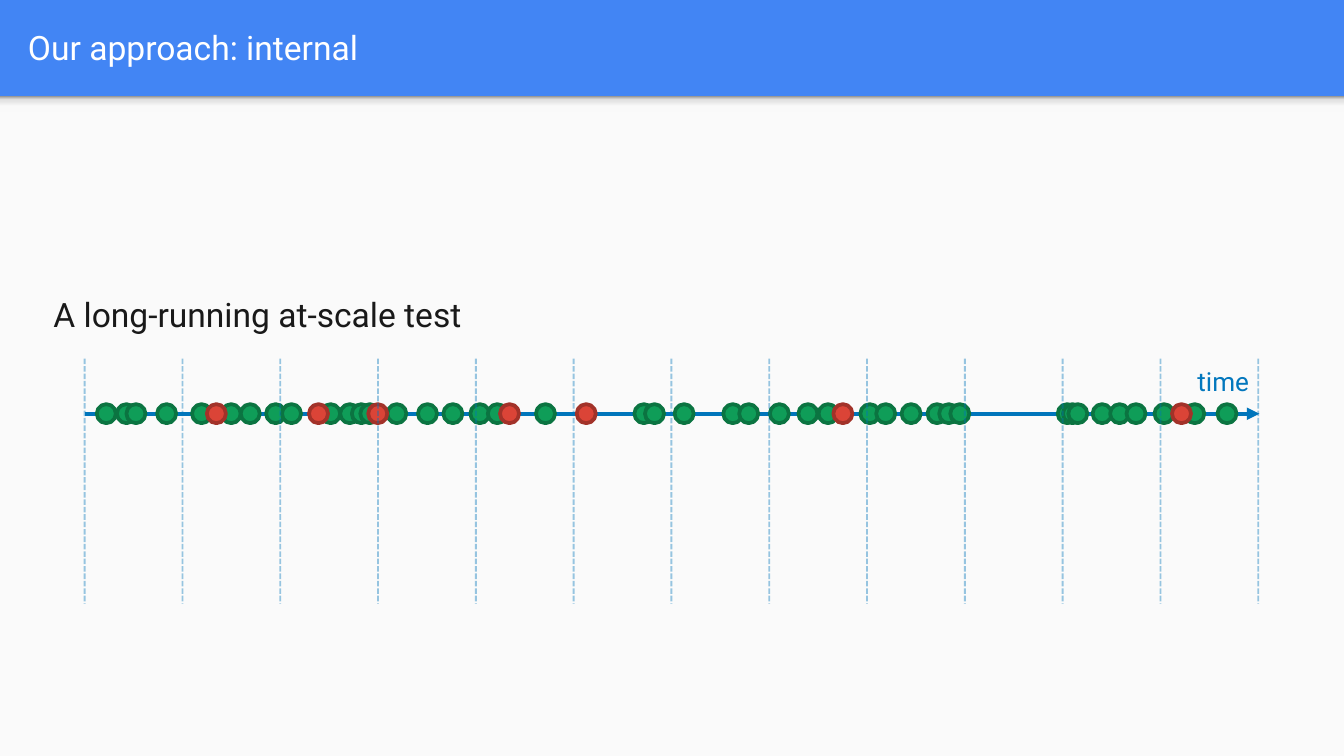
"""Build the slide with the timeline of a long-running at-scale test."""
from copy import deepcopy

from lxml.etree import SubElement
from pptx import Presentation
from pptx.dml.color import RGBColor
from pptx.enum.dml import MSO_LINE
from pptx.enum.shapes import MSO_CONNECTOR, MSO_SHAPE
from pptx.enum.text import MSO_ANCHOR, MSO_AUTO_SIZE
from pptx.oxml.ns import qn
from pptx.util import Cm, Pt


def paint(color_format, color):
    color_format.rgb = RGBColor.from_string(color)


def add_line(left, top, right, bottom, width):
    line = slide.shapes.add_connector(
        MSO_CONNECTOR.STRAIGHT, Cm(left), Cm(top), Cm(right), Cm(bottom))
    line.line.width = Pt(width)
    paint(line.line.color, "0075BB")
    SubElement(line._element.spPr, qn("a:effectLst"))
    return line


deck = Presentation()
deck.slide_width, deck.slide_height = Cm(25.4), Cm(14.29)
slide = deck.slides.add_slide(deck.slide_layouts[6])
slide.background.fill.solid()
paint(slide.background.fill.fore_color, "4285F4")

body = slide.shapes.add_shape(MSO_SHAPE.RECTANGLE, 0, Cm(1.82), Cm(25.4), Cm(12.47))
body.fill.solid()
paint(body.fill.fore_color, "FAFAFA")
shade = slide.shapes.add_shape(MSO_SHAPE.RECTANGLE, 0, Cm(1.82), Cm(25.4), Cm(0.3))
shade.fill.gradient()
shade.fill.gradient_angle = 90
stop_list = shade._element.spPr.find(".//" + qn("a:gsLst"))
for extra in range(2):
    stop_list.append(deepcopy(stop_list[-1]))
shade_stops = [(0, "F9F9F9"), (0.36, "F9F9F9"), (0.8, "DEDEDE"), (1, "999999")]
for stop, (position, color) in zip(shade.fill.gradient_stops, shade_stops):
    stop.position = position
    paint(stop.color, color)
for panel in (body, shade):
    panel.line.fill.background()
    panel.shadow.inherit = False

axis_left, axis_right, axis_y = 1.6, 23.8, 7.82
axis = add_line(axis_left, axis_y, axis_right, axis_y, 2.25)
SubElement(axis.line._get_or_add_ln(), qn("a:tailEnd"), type="triangle")

passed = [
    1.83, 2.21, 2.39, 2.97, 3.63, 4.19, 4.55, 5.03, 5.33, 6.07, 6.43,
    6.65, 6.81, 7.32, 7.9, 8.38, 8.89, 9.22, 10.13, 11.99, 12.19,
    12.75, 13.67, 13.97, 14.55, 15.09, 15.47, 16.26, 16.56, 17.04, 17.53,
    17.75, 17.96, 19.99, 20.09, 20.19, 20.65, 20.98, 21.29, 21.82, 22.4, 23.01,
]
failed = [3.91, 5.84, 6.96, 9.45, 10.9, 15.75, 22.15]
dot_size = 0.36
for lefts, fill, outline in [(passed, "0F9D58", "0B7441"), (failed, "DB4437", "A23229")]:
    for left in lefts:
        dot = slide.shapes.add_shape(
            MSO_SHAPE.OVAL, Cm(left), Cm(axis_y - dot_size / 2), Cm(dot_size), Cm(dot_size))
        dot.shadow.inherit = False
        dot.fill.solid()
        paint(dot.fill.fore_color, fill)
        paint(dot.line.color, outline)
        dot.line.width = Pt(2)

texts = [
    ("Our approach: internal", 0.28, 0.05, 24.51, 1.68, 18, "FFFFFF"),
    ("time", 22.38, 6.78, 1.5, 0.86, 14, "0277BD"),
    ("A long-running at-scale test", 0.76, 5.44, 8.31, 1.02, 18, "191919"),
]
for text, left, top, width, height, size, color in texts:
    box = slide.shapes.add_textbox(Cm(left), Cm(top), Cm(width), Cm(height))
    frame = box.text_frame
    frame.text = text
    is_title = top < 1
    frame.word_wrap = is_title
    if is_title:
        frame.vertical_anchor = MSO_ANCHOR.MIDDLE
        frame.margin_top = frame.margin_bottom = Cm(0.25)
    else:
        frame.auto_size = MSO_AUTO_SIZE.SHAPE_TO_FIT_TEXT
    span = frame.paragraphs[0].runs[0]
    span.font.name = "Roboto"
    span.font.size = Pt(size)
    paint(span.font.color, color)

interval_count = 12
for index in range(interval_count + 1):
    left = axis_left + index * (23.78 - axis_left) / interval_count
    divider = add_line(left, 6.78, left, 11.41, 1)
    divider.line.dash_style = MSO_LINE.SQUARE_DOT
    color_element = divider._element.spPr.find(".//" + qn("a:srgbClr"))
    SubElement(color_element, qn("a:alpha"), val="40000")

deck.save("out.pptx")
